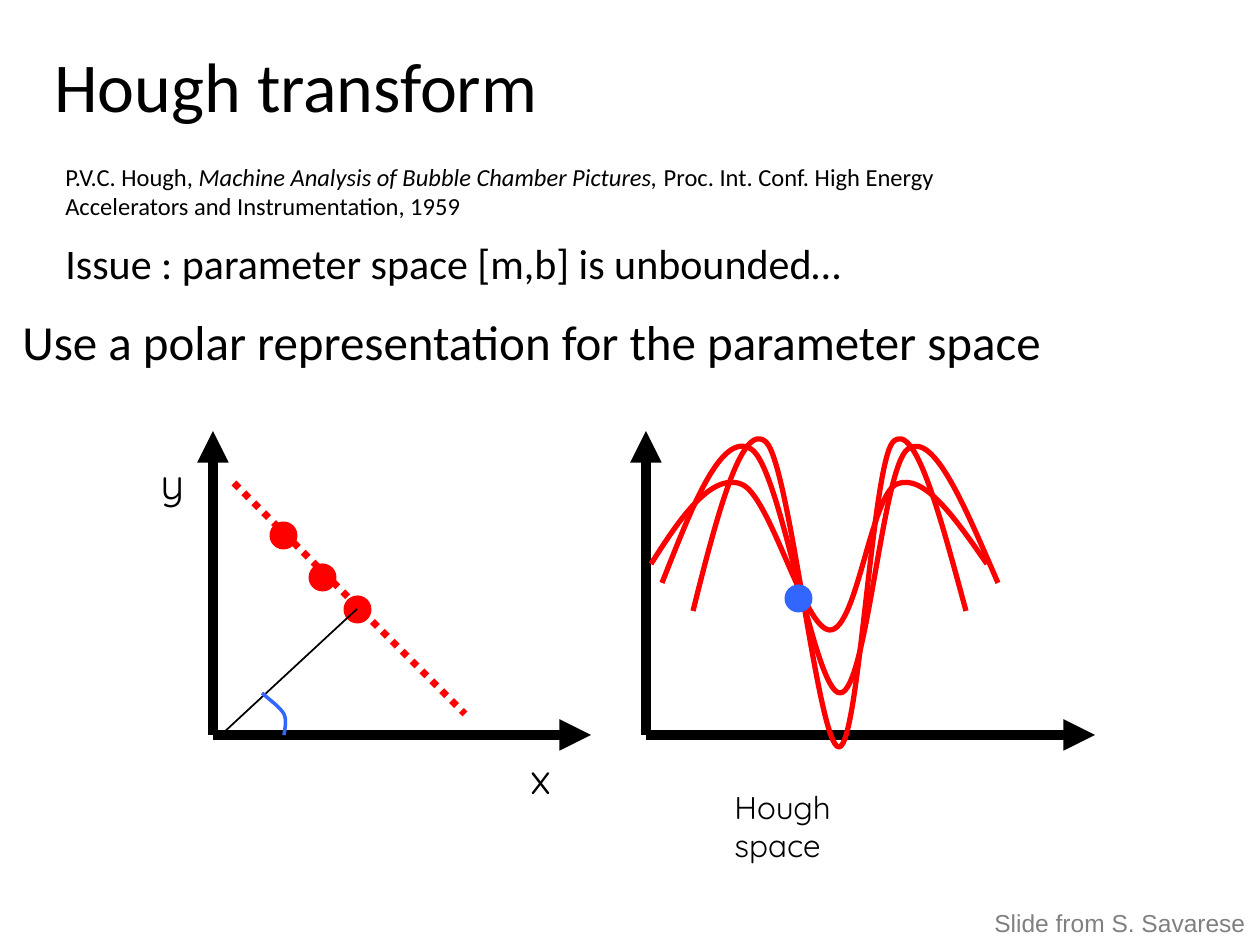
"""Builds the Hough transform slide on polar parameter space."""
from lxml import etree
from pptx import Presentation
from pptx import util as u
from pptx.dml.color import RGBColor
from pptx.enum import dml, shapes, text
from pptx.oxml.ns import qn

PX = 914400 / 126
BLACK, RED, BLUE, GREY = "000000", "FF0000", "3366FF", "808080"
CENTER = text.PP_ALIGN.CENTER
MIDDLE = text.MSO_ANCHOR.MIDDLE


def px(n):
    """Turn pixels into EMU."""
    return u.Emu(round(n * PX))


def rgb(color):
    """Turn a hex string into a colour."""
    return RGBColor.from_string(color)


def set_line(shape, color, width):
    """Colour a line and set its width in points."""
    shape.line.color.rgb = rgb(color)
    shape.line.width = u.Pt(width)


def add_text(s, box, runs, size, font="Calibri", color=BLACK, align=None,
             anchor=text.MSO_ANCHOR.TOP, wrap=True):
    """Add a text box from (text, italic) runs."""
    tf = s.shapes.add_textbox(*map(px, box)).text_frame
    tf.word_wrap = wrap
    tf.vertical_anchor = anchor
    p = tf.paragraphs[0]
    p.alignment = align
    for words, italic in runs:
        r = p.add_run()
        r.text = words
        r.font.name, r.font.size = font, u.Pt(size)
        r.font.italic = italic
        r.font.color.rgb = rgb(color)


def add_line(s, start, end, color, width, dash=None, arrow=False):
    """Add a straight line, dashed or with an arrowhead if asked."""
    line = s.shapes.add_connector(shapes.MSO_CONNECTOR.STRAIGHT,
                                  *map(px, start + end))
    set_line(line, color, width)
    if dash:
        line.line.dash_style = dash
    if arrow:
        etree.SubElement(line.line._get_or_add_ln(), qn("a:tailEnd"),
                         type="triangle")
    etree.SubElement(line._element.spPr, qn("a:effectLst"))


def add_axes(s, x, right):
    """Add a vertical and a horizontal axis that meet at x."""
    for end in ((x, 431), (right, 735)):
        add_line(s, (x, 735), end, BLACK, 6, arrow=True)


def add_dot(s, x, y, color):
    """Add a round point with its top left corner at x, y."""
    dot = s.shapes.add_shape(shapes.MSO_SHAPE.OVAL, *map(px, (x, y, 21, 21)))
    dot.shadow.inherit = False
    dot.fill.solid()
    dot.fill.fore_color.rgb = rgb(color)
    set_line(dot, color, 4)


def add_curve(s, points, color, width):
    """Add a Bezier curve with two control points before each knot."""
    builder = s.shapes.build_freeform(*points[0], scale=PX)
    builder.add_line_segments(points[1:], close=False)
    curve = builder.convert_to_shape()
    curve.shadow.inherit = False
    curve.fill.background()
    set_line(curve, color, width)
    path = next(curve._element.iter(qn("a:path")))
    segments = path.findall(qn("a:lnTo"))
    for i in range(0, len(segments), 3):
        bezier = etree.SubElement(path, qn("a:cubicBezTo"))
        for segment in segments[i:i + 3]:
            bezier.append(segment[0])
            path.remove(segment)


def add_wave(s, xs, half_ys):
    """Add a red wave whose heights mirror around its trough."""
    add_curve(s, list(zip(xs, half_ys + half_ys[-2::-1])), RED, 3)


def add_headings(s):
    """Add the title and the text lines above the diagrams."""
    add_text(s, (42, 32, 735, 104), [("Hough transform", False)], 40,
             anchor=MIDDLE)
    add_text(s, (53, 231, 1061, 63),
             [("Issue : parameter space [m,b] is unbounded…", False)], 24)
    add_text(s, (53, 155, 983, 72),
             [("P.V.C. Hough, ", False),
              ("Machine Analysis of Bubble Chamber Pictures,", True),
              (" Proc. Int. Conf. High Energy Accelerators and "
               "Instrumentation, 1959", False)], 14, anchor=MIDDLE)
    add_text(s, (10, 305, 1218, 72),
             [("Use a polar representation for the parameter space", False)], 28)
    add_text(s, (982, 902, 278, 43), [("Slide from S. Savarese", False)], 14,
             "Arial", GREY, wrap=False)


def add_image_space(s):
    """Add the x, y diagram with its line, points and angle."""
    add_line(s, (234, 483), (465, 714), RED, 4, dash=dml.MSO_LINE.ROUND_DOT)
    add_axes(s, 213, 591)
    for label, box in (("x", (518, 746, 44, 63)), ("y", (148, 451, 45, 63))):
        add_text(s, box, [(label, False)], 24, "Quicksand", align=CENTER,
                 wrap=False)
    for x, y in ((347, 599), (273, 525), (312, 567)):
        add_dot(s, x, y, RED)
    add_line(s, (221, 735), (357, 609), BLACK, 1)
    add_curve(s, [(262, 693), (271, 701), (280, 707), (284, 714),
                  (287, 721), (285, 728), (284, 735)], BLUE, 2)


def add_hough_space(s):
    """Add the diagram of waves that cross in one point."""
    add_axes(s, 646, 1095)
    add_text(s, (722, 782, 204, 50), [("Hough space", False)], 18, "Quicksand")
    add_wave(s, [693, 717, 742, 766, 790, 818, 839, 859, 872, 893, 915, 940, 966],
             [611, 515, 420, 442, 465, 747, 747])
    add_wave(s, [662, 692, 721, 751, 781, 814, 840, 867, 882, 908, 934, 965, 998],
             [583, 507, 431, 449, 467, 693, 693])
    add_wave(s, [651, 680, 711, 741, 770, 804, 830, 857, 871, 897, 924, 955, 987],
             [564, 518, 473, 484, 494, 630, 630])
    add_dot(s, 788, 588, BLUE)


def main():
    """Build and save the slide."""
    prs = Presentation()
    prs.slide_width, prs.slide_height = px(1260), px(945)
    s = prs.slides.add_slide(prs.slide_layouts[6])
    add_headings(s)
    add_image_space(s)
    add_hough_space(s)
    prs.save("out.pptx")


if __name__ == "__main__":
    main()
